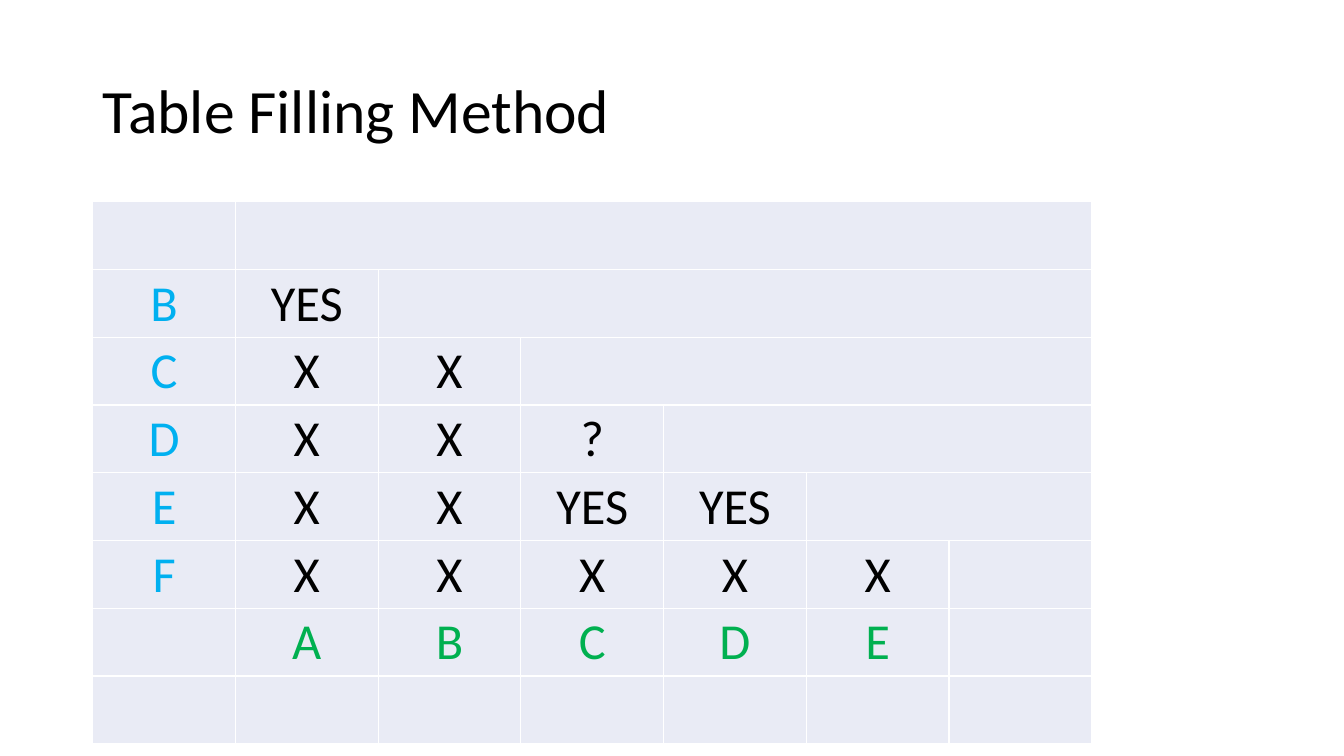
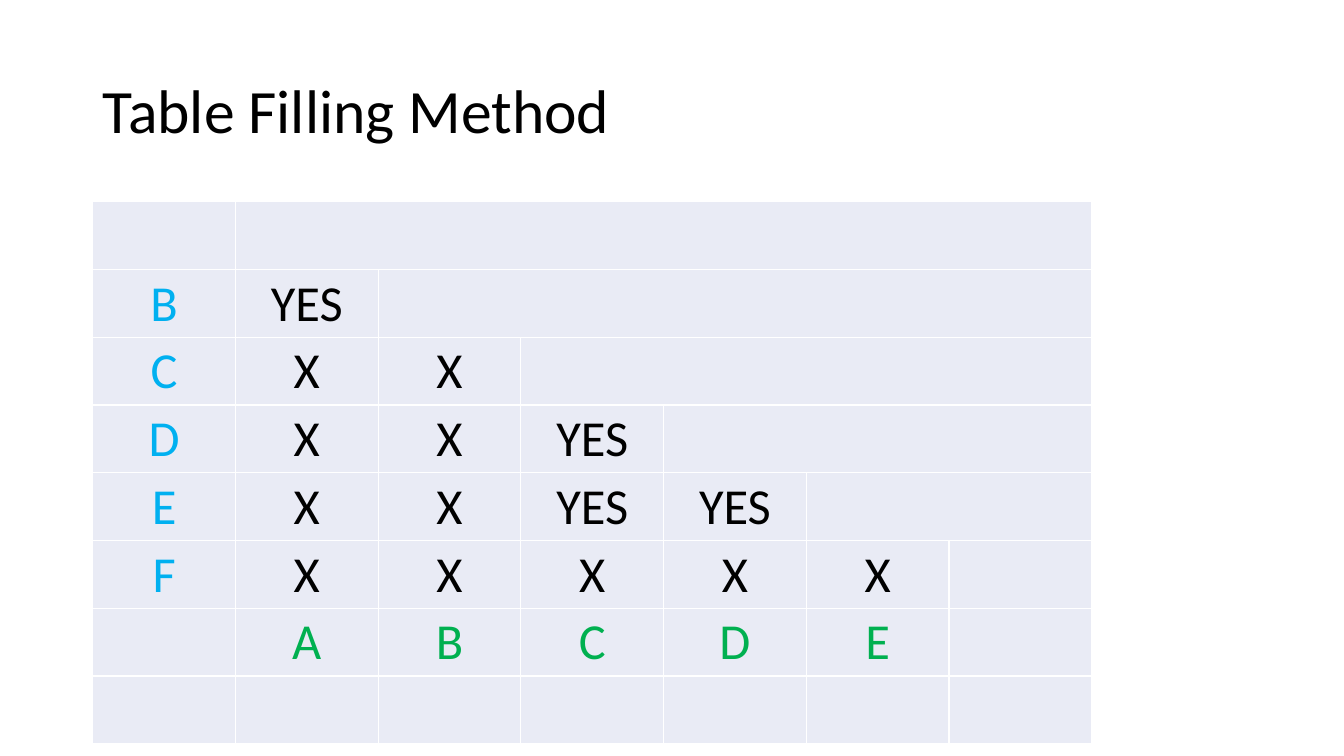
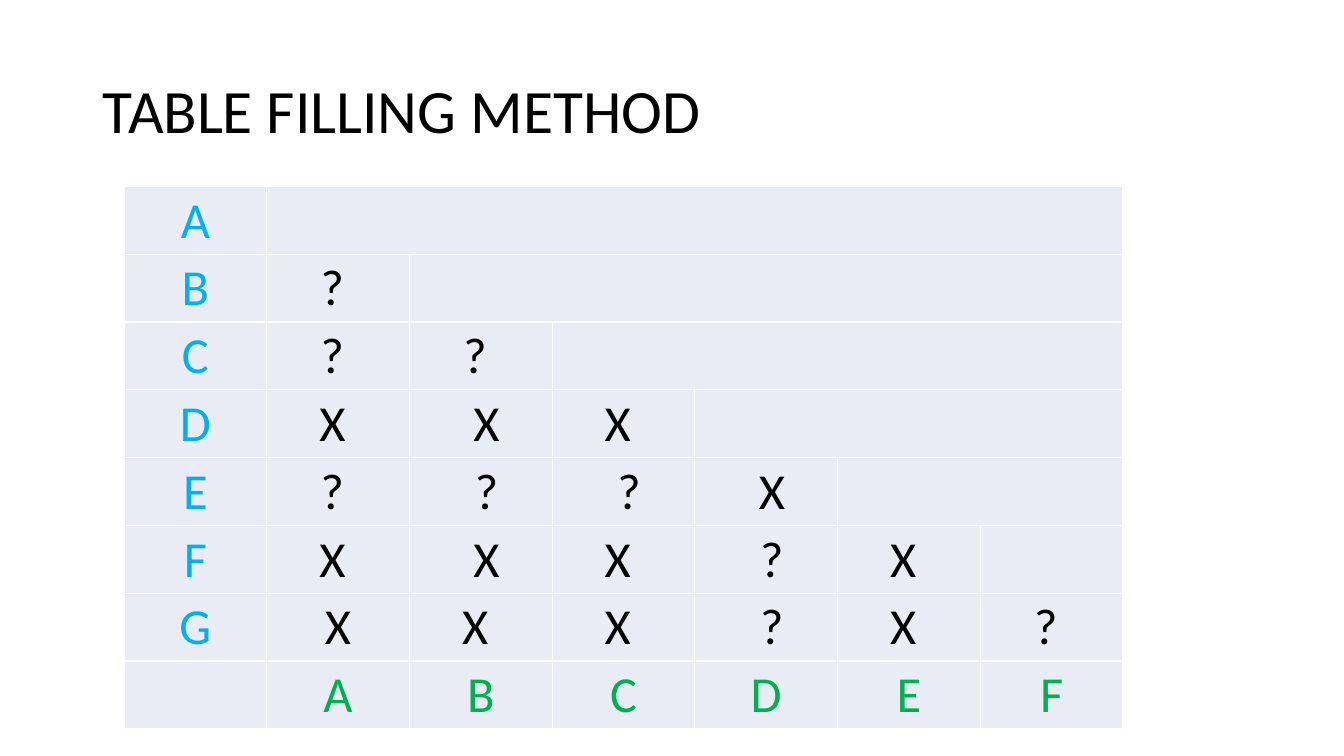
from lxml import etree
from pptx import Presentation
from pptx import util as u
from pptx.dml.color import RGBColor
from pptx.enum import text
from pptx.oxml import ns

FONT = "Calibri"
BLACK, WHITE = "000000", "FFFFFF"
CELL_FILL, ROW_LABEL, COLUMN_LABEL = "E9EBF5", "00B0F0", "00B050"
ROWS, COLUMNS = 8, 7
TABLE_WIDTH, TABLE_HEIGHT = 9.91, 5.38
MERGED_ROWS = 5

# Each row: label, then marks, split at blanks; "_" is a no-break space.
HEAD_MARKS = ["", "B YES", "C X X"]
TAIL_MARKS = ["E X X YES YES", "F X X X X X", " A B C D E", ""]
SLIDES = [
    ("Table Filling Method", (0.92, 2), [*HEAD_MARKS, "D X X ?", *TAIL_MARKS]),
    ("Table Filling Method", (0.92, 2), [*HEAD_MARKS, "D X X YES", *TAIL_MARKS]),
    ("TABLE FILLING METHOD", (1.23, 1.85), [
        "A",
        "B ?_",
        "C ?_ ?_",
        "D X_ _X X_",
        "E ?_ _? _? _X",
        "F X_ _X X_ _? X_",
        "G X X_ X_ _? X_ ?_",
        " A B C D E F",
    ]),
]


def color(value):
    """Turn a hex string into a colour."""
    return RGBColor.from_string(value)


def style_paragraph(para, size, value, align):
    """Set the font and alignment of one paragraph."""
    para.alignment = align
    para.font.name = FONT
    para.font.size = u.Pt(size)
    para.font.color.rgb = color(value)


def add_title(page, title):
    """Fill, place and format the title placeholder."""
    box = page.shapes.title
    box.left, box.top = u.Inches(0.92), u.Inches(0.4)
    box.width, box.height = u.Inches(11.5), u.Inches(1.45)
    frame = box.text_frame
    frame.text = title
    frame.auto_size = text.MSO_AUTO_SIZE.NONE
    frame.vertical_anchor = text.MSO_ANCHOR.MIDDLE
    para = frame.paragraphs[0]
    para.line_spacing = 0.9
    style_paragraph(para, 44, BLACK, text.PP_ALIGN.LEFT)


def format_cell(cell):
    """Give a cell white borders and the shared fill."""
    properties = cell._tc.get_or_add_tcPr()
    for side in ("a:lnL", "a:lnR", "a:lnT", "a:lnB"):
        line = etree.SubElement(properties, ns.qn(side), w=str(u.Pt(1)))
        fill = etree.SubElement(line, ns.qn("a:solidFill"))
        etree.SubElement(fill, ns.qn("a:srgbClr"), val=WHITE)
    cell.fill.solid()
    cell.fill.fore_color.rgb = color(CELL_FILL)


def write_mark(cell, mark, value):
    """Write one centred mark into a cell."""
    cell.text = mark.replace("_", "\u00a0")
    cell.vertical_anchor = text.MSO_ANCHOR.MIDDLE
    cell.margin_left = cell.margin_right = cell.margin_top = u.Inches(0.01)
    cell.margin_bottom = 0
    style_paragraph(cell.text_frame.paragraphs[0], 36, value, text.PP_ALIGN.CENTER)


def add_pair_table(page, corner, rows):
    """Add a staircase table of state pairs."""
    left, top = corner
    frame = page.shapes.add_table(ROWS, COLUMNS, u.Inches(left), u.Inches(top),
                                  u.Inches(TABLE_WIDTH), u.Inches(TABLE_HEIGHT))
    table = frame.table
    table.first_row = table.horz_banding = False
    for cell in table.iter_cells():
        format_cell(cell)
    for step in range(MERGED_ROWS):
        table.cell(step, step + 1).merge(table.cell(step, COLUMNS - 1))
    for row, line in enumerate(rows):
        marks = line.split(" ")
        mark_color = BLACK if marks[0] else COLUMN_LABEL
        for column, mark in enumerate(marks):
            if mark:
                write_mark(table.cell(row, column), mark,
                           mark_color if column else ROW_LABEL)


def main():
    """Build the deck and save it."""
    deck = Presentation()
    deck.slide_width, deck.slide_height = u.Inches(13.33), u.Inches(7.5)
    title_only = deck.slide_layouts.get_by_name("Title Only")
    for title, corner, rows in SLIDES:
        page = deck.slides.add_slide(title_only)
        add_title(page, title)
        add_pair_table(page, corner, rows)
    deck.save("out.pptx")


main()
